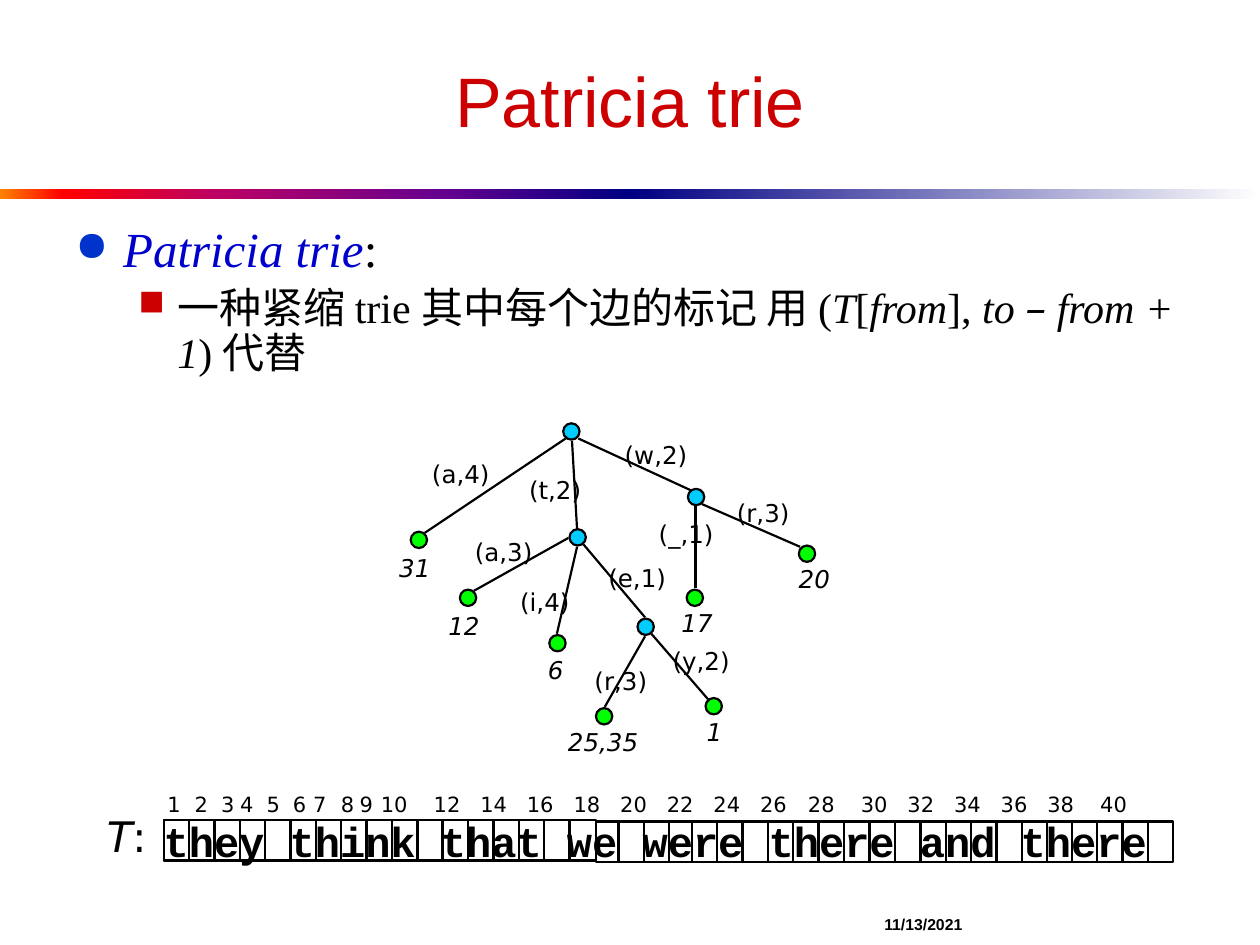
from lxml import etree
from pptx import Presentation
from pptx.dml.color import RGBColor
from pptx.enum.shapes import MSO_CONNECTOR as CONNECTOR, MSO_SHAPE as SHAPE
from pptx.enum.text import MSO_ANCHOR as ANCHOR, PP_ALIGN as ALIGN
from pptx.oxml.ns import qn
from pptx.util import Inches, Pt

COLORS = {
    "black": "000000", "title": "CC0000", "term": "0000CC",
    "dot": "0033CC", "square": "CC0000", "inner": "00CCFF", "leaf": "00FF00",
}
SANS, SERIF = "DejaVu Sans", "Times New Roman"


def add_runs(para, runs, size, font, color="black", bold=False):
    """Fill a paragraph with (text, italic) pairs."""
    for text, italic in runs:
        span = para.add_run()
        span.text = text
        span.font.size, span.font.name = Pt(size), font
        span.font.italic, span.font.bold = italic, bold
        span.font.color.rgb = RGBColor.from_string(COLORS[color])


def add_text(left, top, width, height, runs, size, font, wrap=False, **style):
    box = page.shapes.add_textbox(Inches(left), Inches(top), Inches(width), Inches(height))
    box.text_frame.word_wrap = wrap
    add_runs(box.text_frame.paragraphs[0], runs, size, font, **style)
    return box


deck = Presentation()
deck.slide_width, deck.slide_height = Inches(10), Inches(7.5)
page = deck.slides.add_slide(deck.slide_layouts[6])

# Gradient rule under the title
bars = [
    (0, [(0, "FF8200"), (10, "FF0000"), (35, "BA0066"), (70, "66008F"), (100, "000082")]),
    (5, [(0, "000082"), (100, "FFFFFF")]),
]
for left, stops in bars:
    bar = page.shapes.add_shape(SHAPE.RECTANGLE, Inches(left), Inches(1.5), Inches(5), Inches(0.08))
    bar.shadow.inherit = False
    bar.line.fill.background()
    bar.fill.gradient()
    bar.fill.gradient_angle = 0
    stop_list = bar.element.spPr.find(".//" + qn("a:gsLst"))
    for old_stop in list(stop_list):
        stop_list.remove(old_stop)
    for percent, color in stops:
        stop = etree.SubElement(stop_list, qn("a:gs"), pos=str(percent * 1000))
        etree.SubElement(stop, qn("a:srgbClr"), val=color)

# Title and date
title = add_text(0.5, 0.25, 9, 1.08, [("Patricia trie", False)], 40, "Arial", wrap=True, color="title")
title.text_frame.vertical_anchor = ANCHOR.MIDDLE
title.text_frame.paragraphs[0].alignment = ALIGN.CENTER
date = add_text(6.92, 7.17, 2.58, 0.33, [("11/13/2021", False)], 9, "Arial", wrap=True, bold=True)
date.text_frame.vertical_anchor = ANCHOR.MIDDLE

# Definition
body = add_text(0.5, 1.74, 9, 1.02, [("Patricia trie", True)], 28, SERIF, wrap=True, color="term")
term = body.text_frame.paragraphs[0]
add_runs(term, [(":", False)], 28, SERIF)
detail = body.text_frame.add_paragraph()
detail.level = 1
add_runs(detail, [("一种紧缩 trie 其中每个边的标记 用 (", False), ("T", True), ("[", False),
                  ("from", True), ("], ", False), ("to ", True)], 24, SERIF)
add_runs(detail, [("–", True)], 24, SANS)
add_runs(detail, [(" from + 1", True), (") 代替", False)], 24, SERIF)
bullets = [(term, 28, 0.38, 0.38, "●", "dot"), (detail, 24, 0.81, 0.31, "■", "square")]
for para, size, margin, hanging, mark, color in bullets:
    para.line_spacing = 0.9
    para.space_before = Pt(size * 0.2)
    props = para._p.get_or_add_pPr()
    props.set("marL", str(Inches(margin)))
    props.set("indent", str(-Inches(hanging)))
    bullet_color = etree.SubElement(props, qn("a:buClr"))
    etree.SubElement(bullet_color, qn("a:srgbClr"), val=COLORS[color])
    etree.SubElement(props, qn("a:buSzPct"), val="85000")
    etree.SubElement(props, qn("a:buChar"), char=mark)

# Trie edges: from, to, label, label left, top and width
edges = [
    (4.49, 3.48, 3.37, 4.23, "(a,4)", 3.33, 3.59, 0.69),
    (4.54, 3.5, 4.58, 4.2, "(t,2)", 4.1, 3.72, 0.65),
    (4.59, 3.48, 5.48, 3.89, "(w,2)", 4.86, 3.44, 0.73),
    (4.51, 4.27, 3.76, 4.69, "(a,3)", 3.67, 4.21, 0.69),
    (4.58, 4.34, 4.42, 5.03, "(i,4)", 4.03, 4.61, 0.63),
    (4.63, 4.32, 5.12, 4.9, "(e,1)", 4.73, 4.42, 0.69),
    (5.52, 4.02, 5.52, 4.67, "(_,1)", 5.13, 4.07, 0.7),
    (5.57, 4, 6.35, 4.34, "(r,3)", 5.75, 3.9, 0.66),
    (5.12, 5.05, 4.8, 5.61, "(r,3)", 4.62, 5.24, 0.66),
    (5.17, 5.03, 5.62, 5.55, "(y,2)", 5.24, 5.08, 0.69),
]
for x1, y1, x2, y2, label, left, top, width in edges:
    edge = page.shapes.add_connector(CONNECTOR.STRAIGHT, Inches(x1), Inches(y1), Inches(x2), Inches(y2))
    edge.line.width = Pt(1.25)
    edge.line.color.rgb = RGBColor.from_string(COLORS["black"])
    etree.SubElement(edge.element.spPr, qn("a:effectLst"))
    add_text(left, top, width, 0.33, [(label, False)], 14, SANS)

# Trie nodes, and the text positions under the leaves
inner_nodes = [(4.47, 3.36), (4.52, 4.2), (5.46, 3.88), (5.06, 4.91)]
leaves = [
    (3.26, 4.22, "31", 3.07, 4.34, 0.45),
    (3.65, 4.68, "12", 3.46, 4.8, 0.45),
    (4.36, 5.04, "6", 4.25, 5.15, 0.32),
    (4.73, 5.62, "25,35", 4.41, 5.72, 0.77),
    (5.6, 5.54, "1", 5.51, 5.64, 0.32),
    (5.45, 4.68, "17", 5.31, 4.78, 0.45),
    (6.34, 4.33, "20", 6.24, 4.43, 0.45),
]
nodes = [(x, y, "inner") for x, y in inner_nodes] + [(leaf[0], leaf[1], "leaf") for leaf in leaves]
for x, y, kind in nodes:
    node = page.shapes.add_shape(SHAPE.OVAL, Inches(x), Inches(y), Inches(0.13), Inches(0.13))
    node.shadow.inherit = False
    node.fill.solid()
    node.fill.fore_color.rgb = RGBColor.from_string(COLORS[kind])
    node.line.width = Pt(1.25)
    node.line.color.rgb = RGBColor.from_string(COLORS["black"])
for _, _, label, left, top, width in leaves:
    add_text(left, top, width, 0.33, [(label, True)], 14, SANS)

# Position numbers, each centred on a tab stop
numbers = [*range(1, 11), *range(12, 41, 2)]
tab_stops = [0.27, 0.48, 0.63, 0.84, 1.05, 1.21, 1.43, 1.58, 1.8, 2.22, 2.59, 2.96, 3.33, 3.7,
             4.07, 4.44, 4.81, 5.19, 5.61, 5.98, 6.35, 6.72, 7.09, 7.51]
ruler = add_text(1.23, 6.23, 8.24, 0.3, [("\t".join(map(str, numbers)), False)], 12, SANS, wrap=True)
tab_list = etree.SubElement(ruler.text_frame.paragraphs[0]._p.get_or_add_pPr(), qn("a:tabLst"))
for stop in tab_stops:
    etree.SubElement(tab_list, qn("a:tab"), pos=str(Inches(stop)), algn="ctr")

# Text T in its cells
add_text(0.75, 6.38, 0.56, 0.5, [("T", True), (":", False)], 24, SANS)
add_text(1.2, 6.42, 8.41, 0.5, [("they think that we were there and there", False)],
         24, "Courier New", wrap=True, bold=True)
frames = [(1.3, 6.51, 3.43), (4.73, 6.52, 3.38)]
cell_rows = [(1.3, 4.32, 16, 6.51), (4.91, 5.11, 2, 6.52), (5.49, 7.71, 12, 6.52), (8.11, 9.11, 6, 6.52)]
for first, last, count, top in cell_rows:
    step = (last - first) / (count - 1)
    frames += [(first + i * step, top, 0.2) for i in range(count)]
for left, top, width in frames:
    cell = page.shapes.add_shape(SHAPE.RECTANGLE, Inches(left), Inches(top), Inches(width), Inches(0.32))
    cell.shadow.inherit = False
    cell.fill.background()
    cell.line.width = Pt(1.25)
    cell.line.color.rgb = RGBColor.from_string(COLORS["black"])

deck.save("out.pptx")
